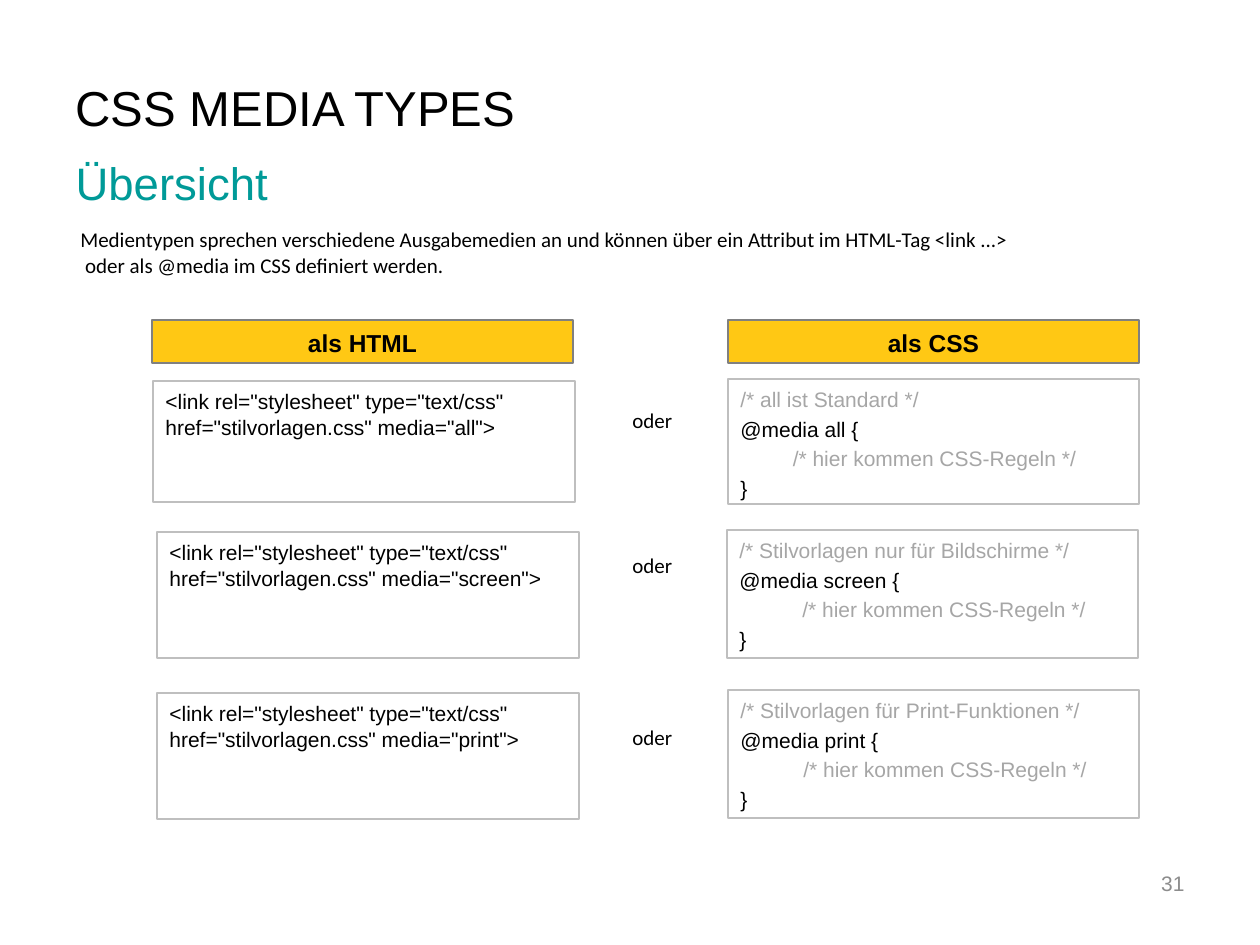
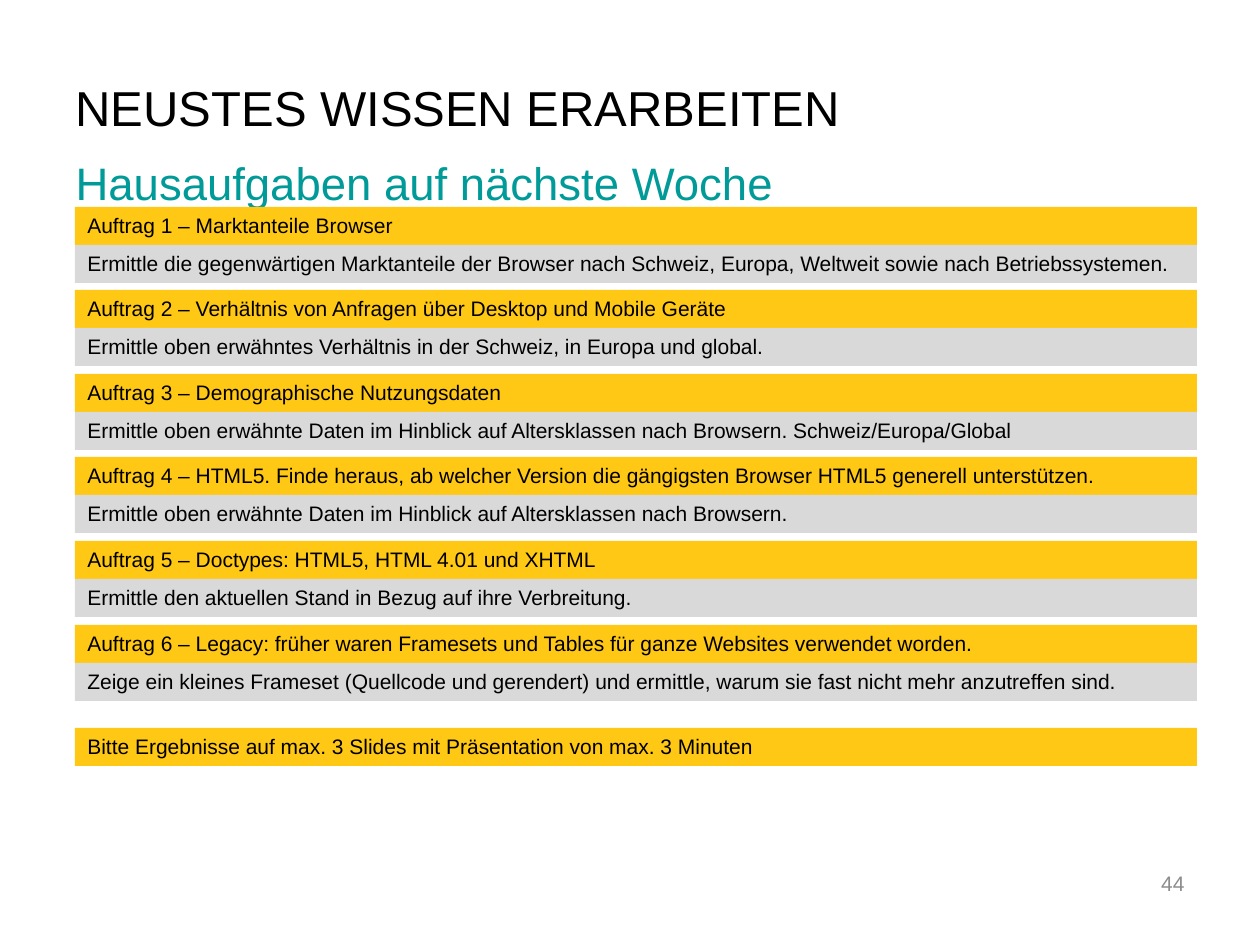
from dataclasses import dataclass
from typing import Optional

from lxml import etree
from pptx import Presentation
from pptx import util as u
from pptx.dml.color import RGBColor
from pptx.enum import shapes, text
from pptx.oxml import ns

PX = 914400 / 126
BLACK = RGBColor(0x00, 0x00, 0x00)
WHITE = RGBColor(0xFF, 0xFF, 0xFF)
TEAL = RGBColor(0x00, 0x9A, 0x98)
YELLOW = RGBColor(0xFF, 0xC8, 0x14)
BAND_GREY = RGBColor(0xD9, 0xD9, 0xD9)
HEADER_BORDER = RGBColor(0x80, 0x80, 0x80)
CODE_BORDER = RGBColor(0xBF, 0xBF, 0xBF)
COMMENT_GREY = RGBColor(0xA6, 0xA6, 0xA6)
PAGE_GREY = RGBColor(0x8C, 0x8C, 0x8C)

LEFT = text.PP_ALIGN.LEFT
CENTER = text.PP_ALIGN.CENTER
RIGHT = text.PP_ALIGN.RIGHT
TOP = text.MSO_ANCHOR.TOP
MIDDLE = text.MSO_ANCHOR.MIDDLE


@dataclass(frozen=True)
class Area:
    left: int
    top: int
    width: int
    height: int


@dataclass(frozen=True)
class Style:
    size: int = 12
    color: RGBColor = BLACK
    font: str = "Arial"
    bold: bool = False
    align: text.PP_ALIGN = LEFT
    anchor: text.MSO_ANCHOR = TOP
    inset_top: int = 6


@dataclass(frozen=True)
class MediaType:
    name: str
    comment: str
    indent: str
    html: Area
    css: Area
    between: Area


@dataclass(frozen=True)
class Task:
    heading: str
    instruction: str


TITLE = Style(28, anchor=MIDDLE)
SUBTITLE = Style(26, TEAL, inset_top=10)
PAGE = Style(color=PAGE_GREY, align=RIGHT, anchor=MIDDLE)
HEADER = Style(14, bold=True, align=CENTER, inset_top=8)
CODE = Style(inset_top=8)
PROSE = Style(font="Calibri")
BAND = Style()

MEDIA_TYPES = [
    MediaType("all", "/* all ist Standard */", "         ",
              Area(153, 381, 422, 121), Area(728, 379, 411, 125),
              Area(620, 402, 108, 84)),
    MediaType("screen", "/* Stilvorlagen nur für Bildschirme */", " \t",
              Area(157, 532, 422, 126), Area(727, 530, 411, 128),
              Area(620, 547, 108, 84)),
    MediaType("print", "/* Stilvorlagen für Print-Funktionen */", " \t",
              Area(157, 693, 422, 126), Area(728, 690, 411, 128),
              Area(620, 719, 108, 84)),
]

TASKS = [
    Task("Auftrag 1 – Marktanteile Browser",
         "Ermittle die gegenwärtigen Marktanteile der Browser nach Schweiz, "
         "Europa, Weltweit sowie nach Betriebssystemen."),
    Task("Auftrag 2 – Verhältnis von Anfragen über Desktop und Mobile Geräte",
         "Ermittle oben erwähntes Verhältnis in der Schweiz, in Europa und global."),
    Task("Auftrag 3 – Demographische Nutzungsdaten",
         "Ermittle oben erwähnte Daten im Hinblick auf Altersklassen nach Browsern. "
         "Schweiz/Europa/Global"),
    Task("Auftrag 4 – HTML5. Finde heraus, ab welcher Version die gängigsten "
         "Browser HTML5 generell unterstützen.",
         "Ermittle oben erwähnte Daten im Hinblick auf Altersklassen nach Browsern."),
    Task("Auftrag 5 – Doctypes: HTML5, HTML 4.01 und XHTML",
         "Ermittle den aktuellen Stand in Bezug auf ihre Verbreitung."),
    Task("Auftrag 6 – Legacy: früher waren Framesets und Tables für ganze "
         "Websites verwendet worden.",
         "Zeige ein kleines Frameset (Quellcode und gerendert) und ermittle, "
         "warum sie fast nicht mehr anzutreffen sind."),
]


def px(length: int) -> u.Emu:
    return u.Emu(round(length * PX))


def bounds(area: Area) -> tuple:
    return px(area.left), px(area.top), px(area.width), px(area.height)


def add_tab_stop(paragraph, position: int) -> None:
    tabs = etree.SubElement(paragraph._p.get_or_add_pPr(), ns.qn("a:tabLst"))
    etree.SubElement(tabs, ns.qn("a:tab"), pos=str(px(position)), algn="l")


def write(holder, lines: list[str], style: Style) -> None:
    frame = holder.text_frame
    frame.word_wrap = True
    frame.auto_size = text.MSO_AUTO_SIZE.NONE
    frame.vertical_anchor = style.anchor
    frame.margin_top = px(style.inset_top)
    for index, line in enumerate(lines):
        paragraph = frame.add_paragraph() if index else frame.paragraphs[0]
        paragraph.text = line
        if "\t" in line:
            add_tab_stop(paragraph, 63)
        paragraph.alignment = style.align
        paragraph.space_before = u.Pt(style.size * 0.2 if index else 0)
        for run in paragraph.runs:
            run.font.name = style.font
            run.font.size = u.Pt(style.size)
            run.font.bold = style.bold
            is_comment = line.strip().startswith("/*")
            run.font.color.rgb = COMMENT_GREY if is_comment else style.color


def place(placeholder, area: Area, line: str, style: Style) -> None:
    (placeholder.left, placeholder.top,
     placeholder.width, placeholder.height) = bounds(area)
    write(placeholder, [line], style)


def add_label(slide, area: Area, line: str, style: Style) -> None:
    write(slide.shapes.add_textbox(*bounds(area)), [line], style)


def add_panel(slide, area: Area, lines: list[str], style: Style,
              fill: RGBColor, border: Optional[RGBColor] = None) -> None:
    panel = slide.shapes.add_shape(shapes.MSO_SHAPE.RECTANGLE, *bounds(area))
    panel.shadow.inherit = False
    panel.fill.solid()
    panel.fill.fore_color.rgb = fill
    if border is None:
        panel.line.fill.background()
    else:
        panel.line.color.rgb = border
        panel.line.width = u.Pt(0.75)
    write(panel, lines, style)


def add_page(deck, title: str, subtitle: str, number: int):
    slide = deck.slides.add_slide(deck.slide_layouts[0])
    place(slide.shapes.title, Area(63, 71, 974, 72), title, TITLE)
    place(slide.placeholders[1], Area(63, 145, 1134, 68), subtitle, SUBTITLE)
    add_label(slide, Area(1113, 858, 84, 50), str(number), PAGE)
    return slide


def add_media_types(deck) -> None:
    slide = add_page(deck, "CSS MEDIA TYPES", "Übersicht", 31)
    add_label(slide, Area(68, 221, 1155, 111),
              "Medientypen sprechen verschiedene Ausgabemedien an und können über "
              "ein Attribut im HTML-Tag <link ...>\v oder als @media im CSS "
              "definiert werden.", PROSE)
    for heading, area in (("als HTML", Area(152, 320, 421, 43)),
                          ("als CSS", Area(728, 320, 411, 43))):
        add_panel(slide, area, [heading], HEADER, YELLOW, HEADER_BORDER)
    for media in MEDIA_TYPES:
        html = ('<link rel="stylesheet" type="text/css" '
                f'href="stilvorlagen.css" media="{media.name}">')
        css = [media.comment, f"@media {media.name} {{",
               f"{media.indent}/* hier kommen CSS-Regeln */", "}"]
        add_panel(slide, media.html, [html], CODE, WHITE, CODE_BORDER)
        add_panel(slide, media.css, css, CODE, WHITE, CODE_BORDER)
        add_label(slide, media.between, "oder", PROSE)


def add_homework(deck) -> None:
    slide = add_page(deck, "NEUSTES WISSEN ERARBEITEN",
                     "Hausaufgaben auf nächste Woche", 44)

    def add_band(top: int, line: str, fill: RGBColor) -> None:
        add_panel(slide, Area(75, top, 1122, 38), [line], BAND, fill)

    first_top, last_top = 207, 625
    for index, task in enumerate(TASKS):
        top = first_top + (last_top - first_top) * index // (len(TASKS) - 1)
        add_band(top, task.heading, YELLOW)
        add_band(top + 38, task.instruction, BAND_GREY)
    add_band(728, "Bitte Ergebnisse auf max. 3 Slides mit Präsentation von "
                  "max. 3 Minuten", YELLOW)


def main() -> None:
    deck = Presentation()
    deck.slide_width, deck.slide_height = px(1260), px(945)
    add_media_types(deck)
    add_homework(deck)
    deck.save("out.pptx")


if __name__ == "__main__":
    main()
